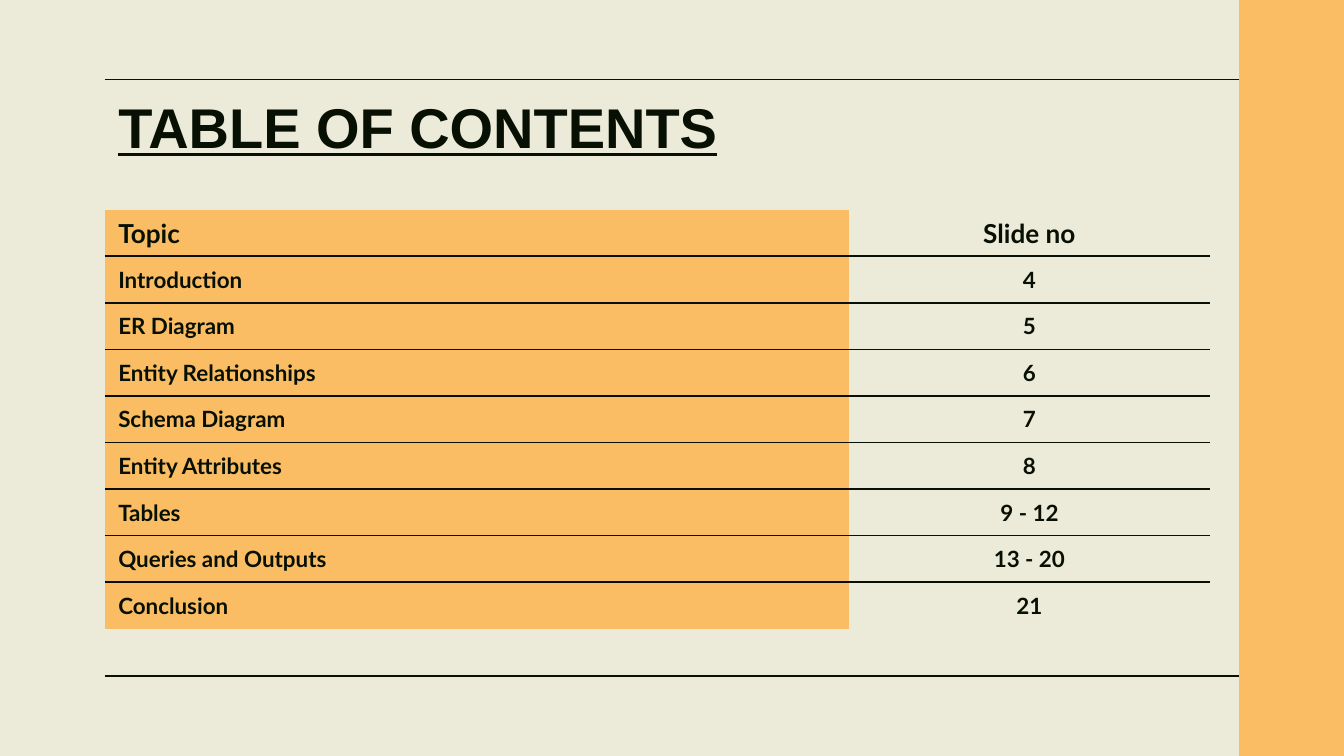
from dataclasses import dataclass
from typing import Any

from lxml import etree
from pptx import Presentation, util as u
from pptx.dml import color
from pptx.enum import shapes, text
from pptx.oxml import ns

INK, GOLD, CREAM = "081004", "FABD63", "ECEBDA"
LEFT, EDGE, WIDE = 0.78, 9.22, 10
HIGH = WIDE * 9 / 16
RULES = (0.59, 5.03)
PLAIN = "{2D5ABB26-0587-4C30-8999-92F81FD0307C}"


@dataclass
class Entry:
    topic: str
    pages: str
    size: int = 12


ROWS = [
    Entry("Topic", "Slide no", 14),
    Entry("Introduction", "4"),
    Entry("ER Diagram", "5"),
    Entry("Entity Relationships", "6"),
    Entry("Schema Diagram", "7"),
    Entry("Entity Attributes", "8"),
    Entry("Tables", "9 - 12"),
    Entry("Queries and Outputs", "13 - 20"),
    Entry("Conclusion", "21"),
]


def rgb(code: str) -> color.RGBColor:
    return color.RGBColor.from_string(code)


def apply(item: Any, form: dict[str, Any]) -> None:
    for key, value in form.items():
        setattr(item, key, value)


def style(font: Any, form: dict[str, Any]) -> None:
    apply(font, form)
    font.color.rgb = rgb(INK)


def band(slide: Any) -> None:
    box = slide.shapes.add_shape(
        shapes.MSO_SHAPE.RECTANGLE,
        u.Inches(EDGE), 0, u.Inches(WIDE - EDGE), u.Inches(HIGH))
    box.shadow.inherit = False
    box.fill.solid()
    box.fill.fore_color.rgb = rgb(GOLD)
    box.line.fill.background()


def rule(slide: Any, y: float) -> None:
    line = slide.shapes.add_connector(
        shapes.MSO_CONNECTOR.STRAIGHT,
        u.Inches(LEFT), u.Inches(y), u.Inches(EDGE), u.Inches(y))
    line.line.color.rgb = rgb(INK)
    line.line.width = u.Pt(0.75)
    etree.SubElement(line._element.spPr, ns.qn("a:effectLst"))


def head(slide: Any) -> None:
    title = slide.shapes.title
    apply(title, {"left": u.Inches(LEFT), "top": u.Inches(RULES[0]),
                  "width": u.Inches(8.43), "height": u.Inches(0.63)})
    frame = title.text_frame
    frame.text = "TABLE OF CONTENTS"
    apply(frame, {"margin_left": u.Inches(0.1), "margin_right": u.Inches(0.1),
                  "margin_top": u.Inches(0.1), "margin_bottom": u.Inches(0.1),
                  "word_wrap": True, "auto_size": text.MSO_AUTO_SIZE.NONE,
                  "vertical_anchor": text.MSO_ANCHOR.TOP})
    para = frame.paragraphs[0]
    para.alignment = text.PP_ALIGN.LEFT
    style(para.runs[0].font, {"name": "Arial", "size": u.Pt(30),
                              "bold": True, "underline": True})


def border(cell: Any, side: str) -> None:
    line = etree.SubElement(cell._tc.get_or_add_tcPr(), ns.qn(f"a:{side}"),
                            w=str(u.Pt(1)))
    fill = etree.SubElement(line, ns.qn("a:solidFill"))
    etree.SubElement(fill, ns.qn("a:srgbClr"), val=INK)


def write(cell: Any, words: str, size: int) -> None:
    cell.text = words
    apply(cell, {"margin_left": u.Inches(0.1), "margin_right": u.Inches(0.1),
                 "margin_top": 0, "margin_bottom": 0,
                 "vertical_anchor": text.MSO_ANCHOR.MIDDLE})
    style(cell.text_frame.paragraphs[0].runs[0].font,
          {"name": "Lato", "size": u.Pt(size), "bold": True})


def listing(slide: Any) -> None:
    frame = slide.shapes.add_table(
        len(ROWS), 2, u.Inches(LEFT), u.Inches(1.56),
        u.Inches(8.22), u.Inches(3.12))
    table = frame.table
    apply(table, {"first_row": False, "horz_banding": False})
    table._tbl.tblPr.find(ns.qn("a:tableStyleId")).text = PLAIN
    for col, width in zip(table.columns, (5.54, 2.68)):
        col.width = u.Inches(width)
    for i, entry in enumerate(ROWS):
        topic, pages = table.cell(i, 0), table.cell(i, 1)
        write(topic, entry.topic, entry.size)
        write(pages, entry.pages, entry.size)
        apply(pages.text_frame.paragraphs[0],
              {"alignment": text.PP_ALIGN.CENTER, "space_after": u.Pt(16)})
        for cell in (topic, pages):
            if i > 0:
                border(cell, "lnT")
            if i < len(ROWS) - 1:
                border(cell, "lnB")
        topic.fill.solid()
        topic.fill.fore_color.rgb = rgb(GOLD)
        pages.fill.background()


def main() -> None:
    deck = Presentation()
    apply(deck, {"slide_width": u.Inches(WIDE), "slide_height": u.Inches(HIGH)})
    slide = deck.slides.add_slide(deck.slide_layouts[5])
    slide.background.fill.solid()
    slide.background.fill.fore_color.rgb = rgb(CREAM)
    band(slide)
    head(slide)
    for y in RULES:
        rule(slide, y)
    listing(slide)
    deck.save("out.pptx")


if __name__ == "__main__":
    main()
